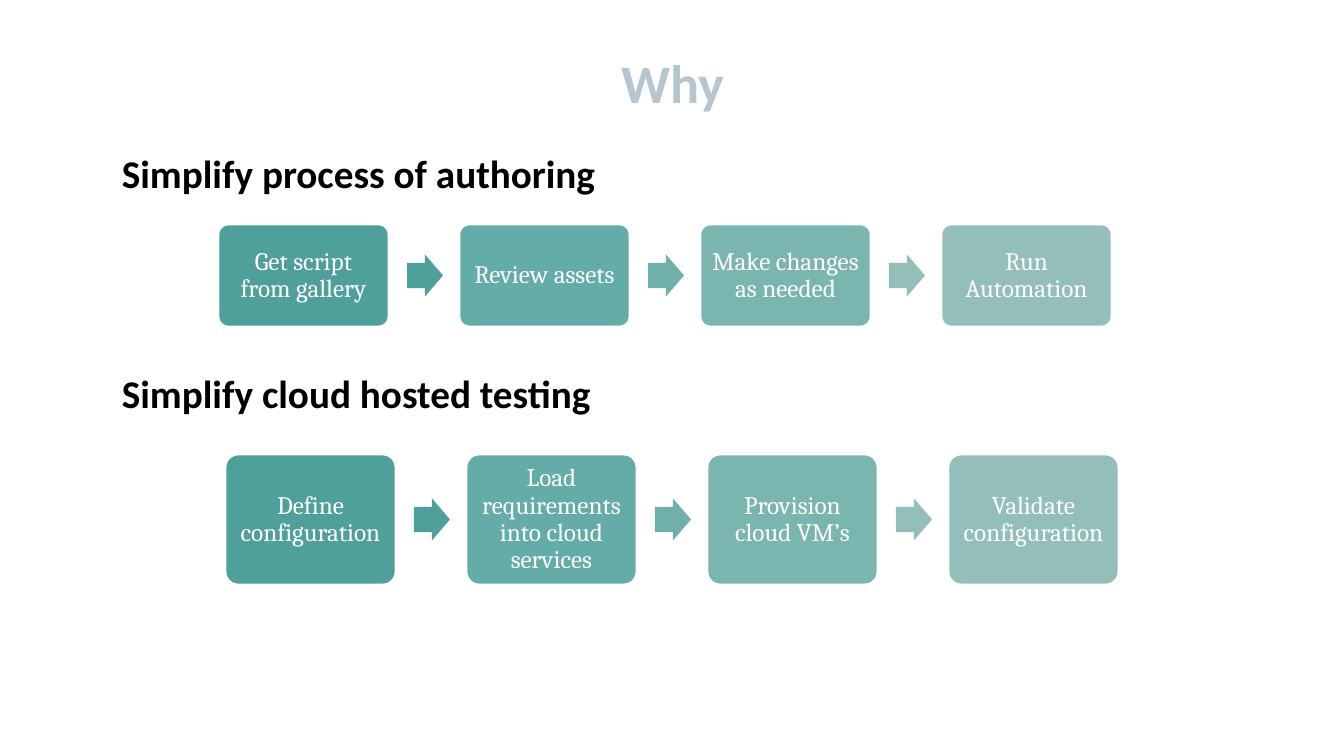
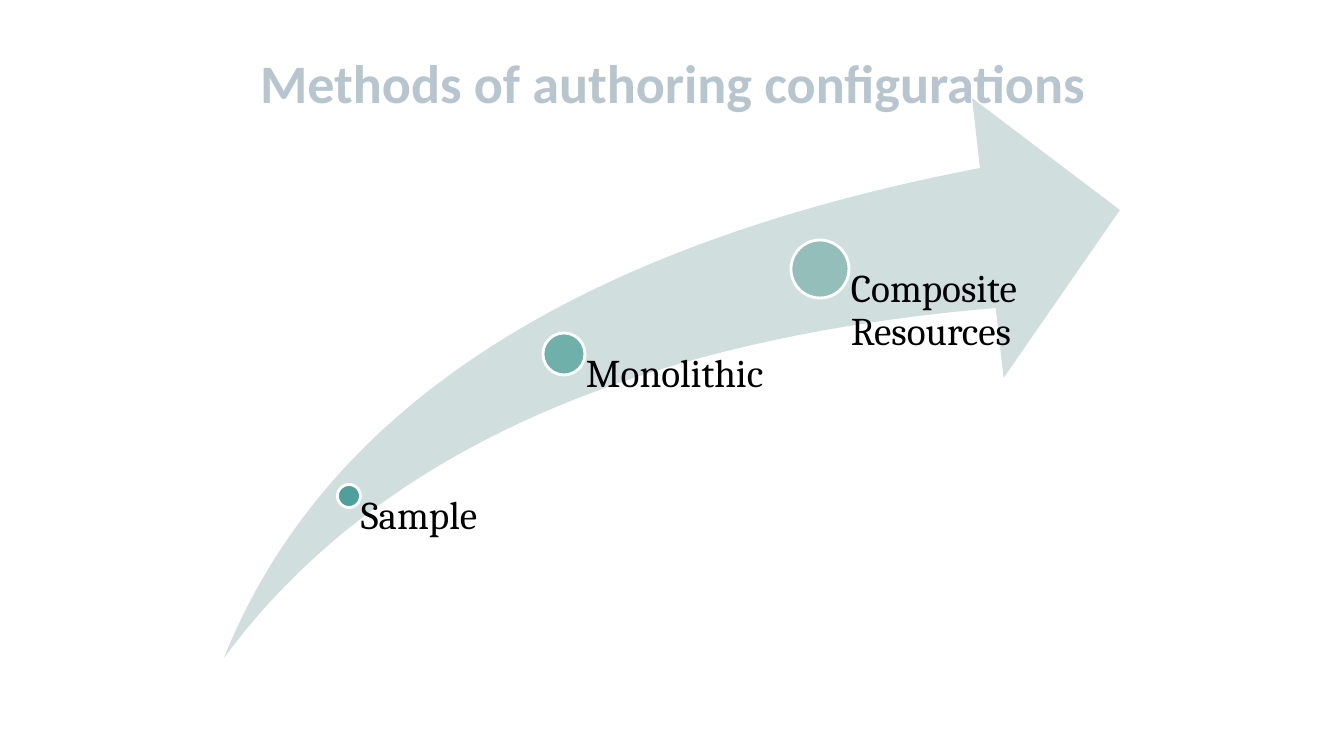
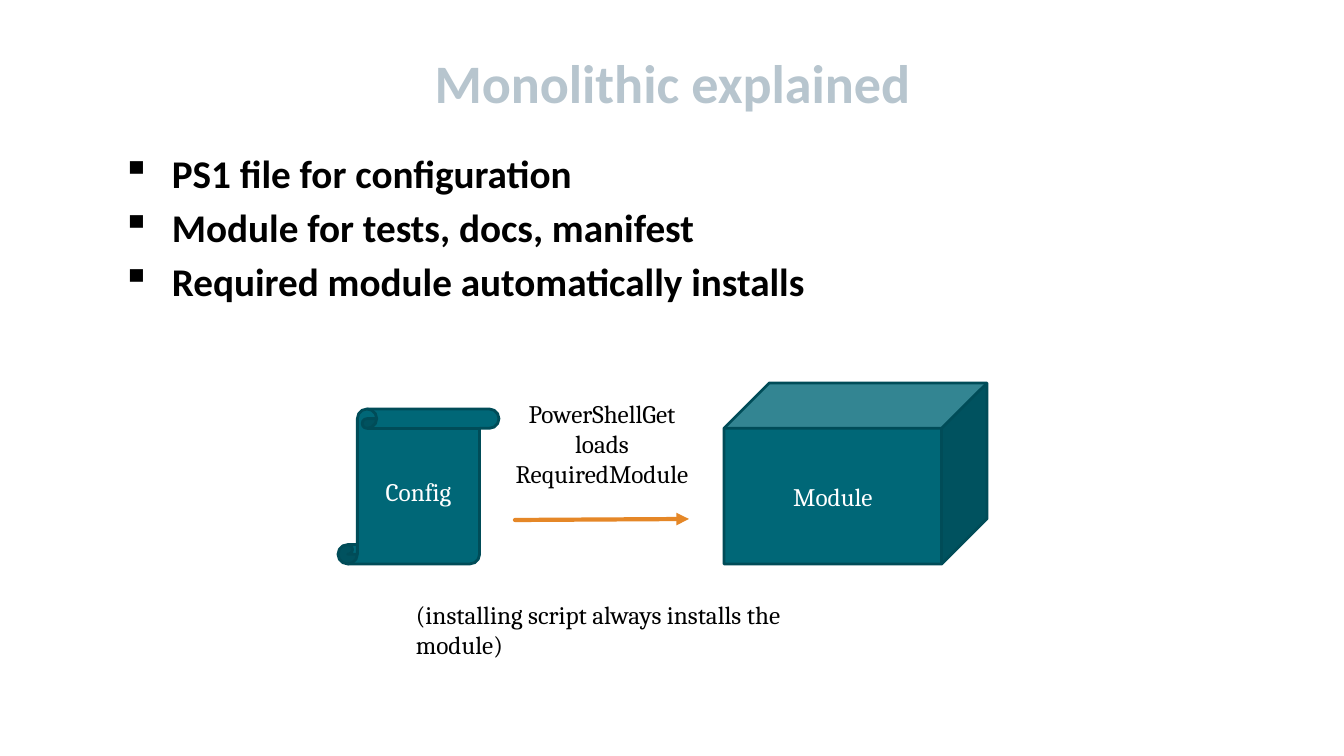
from pptx import Presentation
from pptx.dml.color import RGBColor
from pptx.enum.shapes import MSO_CONNECTOR, MSO_SHAPE
from pptx.enum.text import MSO_ANCHOR, PP_ALIGN
from pptx.oxml.ns import qn
from pptx.util import Emu, Pt
from lxml import etree

# Shared geometry
EMU_PER_PX = 914400 / 100.8
SLIDE_WIDTH, SLIDE_HEIGHT = 1344, 756
TITLE_BOX = (93, 40, 1159, 84)
BODY_LEFT, BODY_TOP, BODY_WIDTH = 112, 144, 1140
BULLET_INDENT = 50

# Shared type and colours
HEADING_FONT, TEXT_FONT = "Calibri", "Cambria"
WHITE = RGBColor(0xFF, 0xFF, 0xFF)
BLACK = RGBColor(0x00, 0x00, 0x00)
TITLE_COLOR = RGBColor(0xB7, 0xC5, 0xCE)
SWOOSH_COLOR = RGBColor(0xD0, 0xDF, 0xDE)
PETROL = RGBColor(0x00, 0x67, 0x77)
DARK_PETROL = RGBColor(0x00, 0x4C, 0x58)
ORANGE = RGBColor(0xE5, 0x87, 0x27)
TEAL = RGBColor(0x4F, 0x9F, 0x9A)
PALE_TEAL = RGBColor(0x93, 0xBE, 0xBA)
ARROW_TEAL = RGBColor(0x6F, 0xB0, 0xAB)
STEP_COLORS = (TEAL, RGBColor(0x63, 0xAC, 0xA7), RGBColor(0x7B, 0xB5, 0xB0), PALE_TEAL)
ARROW_COLORS = (TEAL, ARROW_TEAL, PALE_TEAL)

# Enum members
ROUNDED = MSO_SHAPE.ROUNDED_RECTANGLE
RIGHT_ARROW = MSO_SHAPE.RIGHT_ARROW
SWOOSH = MSO_SHAPE.SWOOSH_ARROW
OVAL = MSO_SHAPE.OVAL
SCROLL = MSO_SHAPE.VERTICAL_SCROLL
CUBE = MSO_SHAPE.CUBE
STRAIGHT = MSO_CONNECTOR.STRAIGHT
LEFT, CENTER = PP_ALIGN.LEFT, PP_ALIGN.CENTER
TOP, MIDDLE = MSO_ANCHOR.TOP, MSO_ANCHOR.MIDDLE


def px(length):
    return Emu(round(length * EMU_PER_PX))


def scaled(box):
    return [px(length) for length in box]


def write(frame, lines, size, color, font=TEXT_FONT, bold=False, align=CENTER, anchor=TOP):
    """Fill a text frame with one paragraph per line."""
    frame.word_wrap = True
    frame.vertical_anchor = anchor
    for index, line in enumerate(lines):
        paragraph = frame.paragraphs[0] if index == 0 else frame.add_paragraph()
        paragraph.alignment = align
        run = paragraph.add_run()
        run.text = line
        run.font.name = font
        run.font.size = Pt(size)
        run.font.bold = bold
        run.font.color.rgb = color
    return frame.paragraphs


def set_insets(frame, left, others):
    frame.margin_left = px(left)
    frame.margin_top = frame.margin_right = frame.margin_bottom = px(others)


def add_titled_slide(presentation, title):
    slide = presentation.slides.add_slide(presentation.slide_layouts[5])
    placeholder = slide.shapes.title
    placeholder.left, placeholder.top, placeholder.width, placeholder.height = scaled(TITLE_BOX)
    write(placeholder.text_frame, [title], 38.7, TITLE_COLOR, HEADING_FONT, True, anchor=MIDDLE)
    return slide


def add_text(slide, box, lines, size, **style):
    frame = slide.shapes.add_textbox(*scaled(box)).text_frame
    write(frame, lines, size, BLACK, **style)
    return frame


def add_body(slide, top, lines, bullet=None):
    """Add bold body lines, with a hanging bullet if one is given."""
    box = (BODY_LEFT, top, BODY_WIDTH, 55 * len(lines))
    frame = add_text(slide, box, lines, 28, font=HEADING_FONT, bold=True, align=LEFT)
    for paragraph in frame.paragraphs:
        paragraph.space_before = Pt(5)
        if bullet:
            properties = paragraph._p.get_or_add_pPr()
            properties.set("marL", str(px(BULLET_INDENT)))
            properties.set("indent", str(-px(BULLET_INDENT)))
            etree.SubElement(properties, qn("a:buChar")).set("char", bullet)


def add_preset(slide, kind, box, fill, line=None, adjustments=()):
    shape = slide.shapes.add_shape(kind, *scaled(box))
    shape.shadow.inherit = False
    shape.fill.solid()
    shape.fill.fore_color.rgb = fill
    if line is None:
        shape.line.fill.background()
    else:
        shape.line.color.rgb = line
        shape.line.width = Pt(2)
    for index, value in enumerate(adjustments):
        shape.adjustments[index] = value
    return shape


def add_process(slide, left, top, height, steps):
    """Add a row of equal steps with a block arrow in each gap."""
    width, pitch = 171, 241
    arrow_offset, arrow_width, arrow_height = 189, 36, 42
    for index, step in enumerate(steps):
        x = left + index * pitch
        box = add_preset(slide, ROUNDED, (x, top, width, height),
                         STEP_COLORS[index], WHITE, [0.1])
        set_insets(box.text_frame, 7, 7)
        paragraphs = write(box.text_frame, [step], 18, WHITE, anchor=MIDDLE)
        paragraphs[0].line_spacing = 0.9
        if index < len(steps) - 1:
            arrow_top = top + (height - arrow_height) / 2
            add_preset(slide, RIGHT_ARROW,
                       (x + arrow_offset, arrow_top, arrow_width, arrow_height),
                       ARROW_COLORS[index], adjustments=[0.6, 0.5])


def add_milestone(slide, center_x, center_y, diameter, color, label):
    """Add a dot with its label hanging below and to the right."""
    radius = diameter / 2
    add_preset(slide, OVAL, (center_x - radius, center_y - radius, diameter, diameter),
               color, WHITE)
    frame = add_text(slide, (center_x, center_y, 215, 90), [label], 28, align=LEFT)
    set_insets(frame, round(diameter * 0.53), 0)
    frame.paragraphs[0].line_spacing = 0.9


def add_arrow(slide, start, end):
    connector = slide.shapes.add_connector(STRAIGHT, *scaled(start + end))
    connector.line.color.rgb = ORANGE
    connector.line.width = Pt(3)
    outline = connector.line._get_or_add_ln()
    outline.set("cap", "rnd")
    etree.SubElement(outline, qn("a:tailEnd")).set("type", "triangle")
    etree.SubElement(connector._element.spPr, qn("a:effectLst"))


def build_why(presentation):
    slide = add_titled_slide(presentation, "Why")
    add_body(slide, BODY_TOP, ["Simplify process of authoring"])
    add_body(slide, BODY_TOP + 220, ["Simplify cloud hosted testing"])
    add_process(slide, 218, 224, 103, [
        "Get script from gallery", "Review assets",
        "Make changes as needed", "Run Automation"])
    add_process(slide, 225, 454, 131, [
        "Define configuration", "Load requirements into cloud services",
        "Provision cloud VM’s", "Validate configuration"])


def build_methods(presentation):
    slide = add_titled_slide(presentation, "Methods of authoring configurations")
    add_preset(slide, SWOOSH, (224, 98, 896, 560), SWOOSH_COLOR, adjustments=[0.25, 0.25])
    add_milestone(slide, 349, 496, 23, TEAL, "Sample")
    add_milestone(slide, 564, 354, 42, ARROW_TEAL, "Monolithic")
    add_milestone(slide, 820, 269, 58, PALE_TEAL, "Composite Resources")


def build_monolithic(presentation):
    slide = add_titled_slide(presentation, "Monolithic explained")
    add_body(slide, BODY_TOP, [
        "PS1 file for configuration",
        "Module for tests, docs, manifest",
        "Required module automatically installs"], bullet="▪")

    # Config loads the module
    for kind, box, label in ((SCROLL, (338, 409, 161, 155), "Config"),
                             (CUBE, (724, 383, 263, 181), "Module")):
        shape = add_preset(slide, kind, box, PETROL, DARK_PETROL)
        write(shape.text_frame, [label], 18, WHITE, anchor=MIDDLE)
    add_text(slide, (499, 393, 206, 102), ["PowerShellGet", "loads", "RequiredModule"], 18)
    add_text(slide, (406, 594, 472, 70),
             ["(installing script always installs the module)"], 18, align=LEFT)
    add_arrow(slide, (515, 520), (689, 519))


def main():
    presentation = Presentation()
    presentation.slide_width = px(SLIDE_WIDTH)
    presentation.slide_height = px(SLIDE_HEIGHT)
    build_why(presentation)
    build_methods(presentation)
    build_monolithic(presentation)
    presentation.save("out.pptx")


if __name__ == "__main__":
    main()
